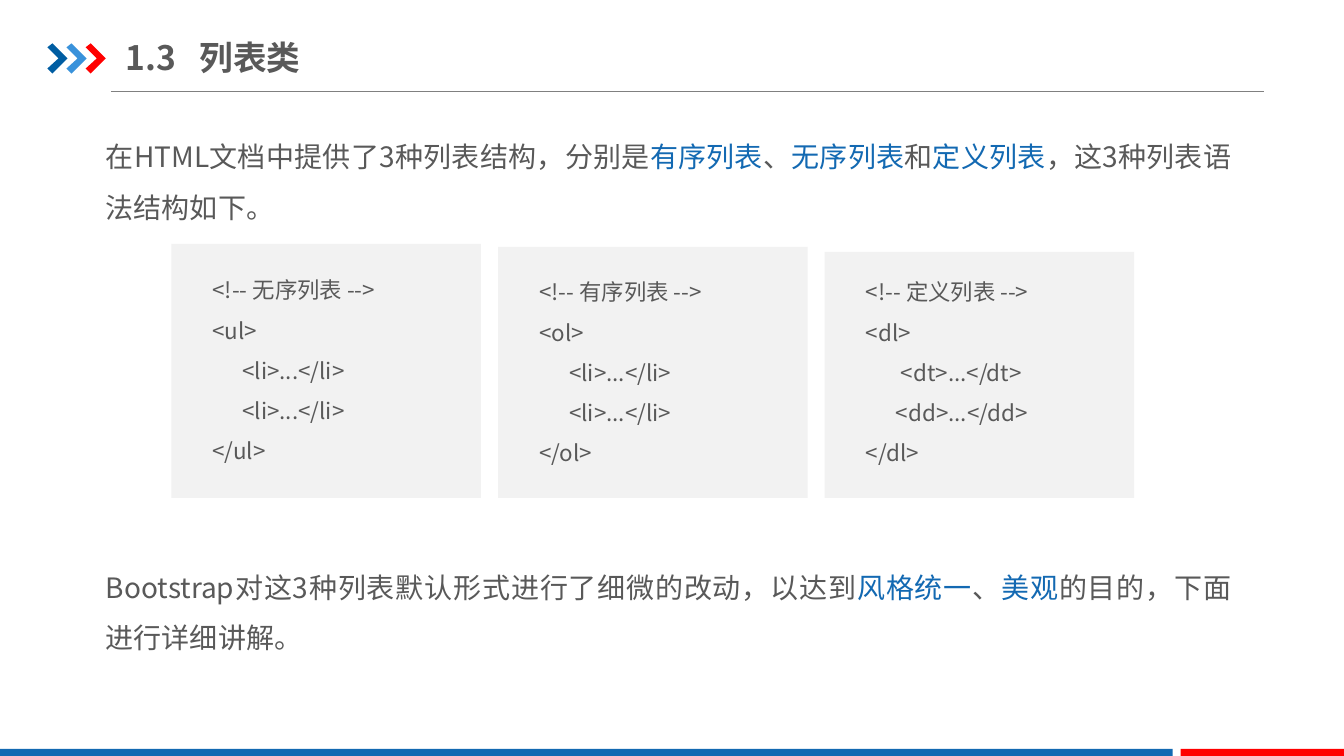
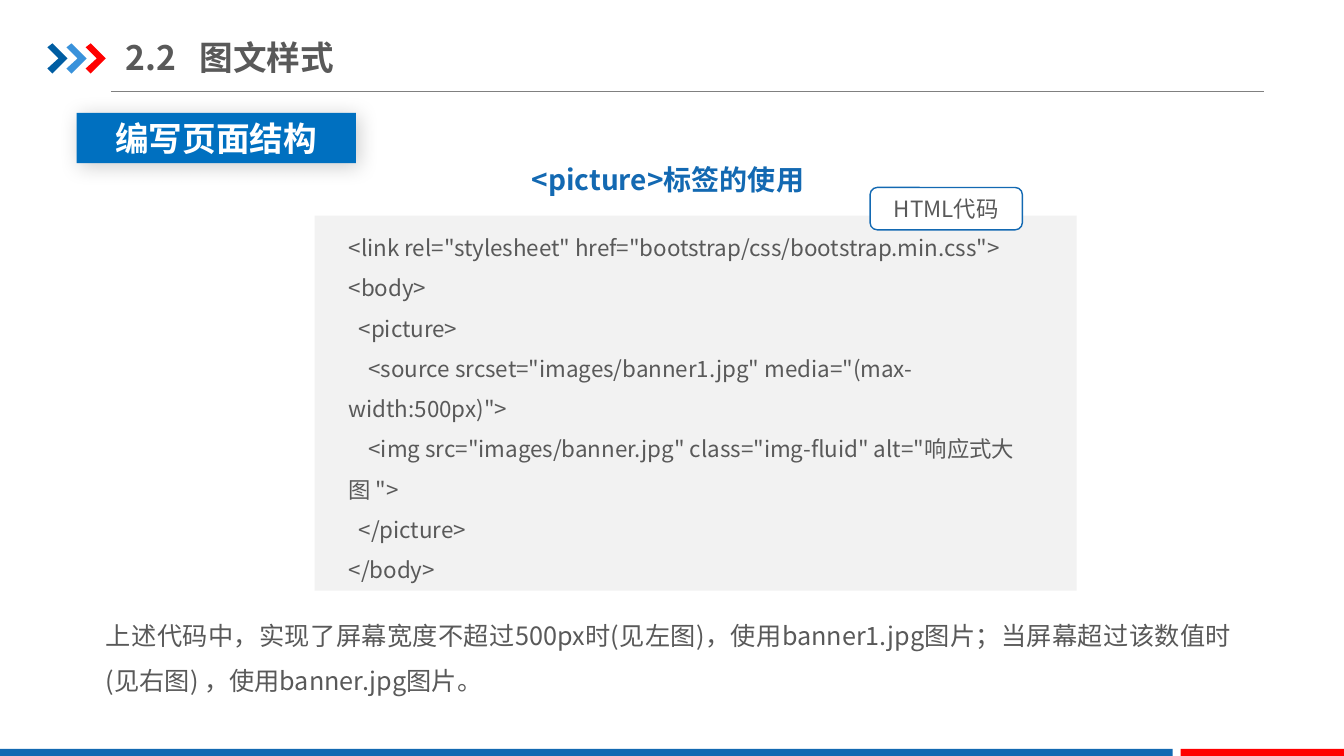
from lxml.etree import SubElement
from pptx import Presentation
from pptx.dml.color import RGBColor
from pptx.enum.shapes import MSO_CONNECTOR as CONNECTOR, MSO_SHAPE as SHAPE
from pptx.enum.text import MSO_ANCHOR as ANCHOR, PP_ALIGN as ALIGN
from pptx.oxml.ns import qn
from pptx.util import Pt

PX = 9144
WIDTH, HEIGHT = 1333, 750
BODY_FONT = "Noto Sans CJK SC"
GREY, BLUE, RED, WHITE = "595959", "1369B2", "FF0000", "FFFFFF"
PANEL, RULE, BADGE = "F2F2F2", "808080", "0070C0"
CHEVRON_COLOURS = ("005DA2", "3992DB", RED)
CHEVRON_OUTLINE = ((0, 47), (5, 43), (20, 58), (5, 73), (0, 68), (11, 58))


def emu(*lengths):
    """Turn px lengths into EMU."""
    return [length * PX for length in lengths]


def paint(colour_format, colour):
    """Apply a hex colour to a colour format."""
    colour_format.rgb = RGBColor.from_string(colour)


def fill_plain(shape, fill, outline=None):
    """Give a shape a solid fill, an optional outline and no shadow."""
    shape.shadow.inherit = False
    shape.fill.solid()
    paint(shape.fill.fore_color, fill)
    if outline:
        paint(shape.line.color, outline)
        shape.line.width = Pt(1)
    else:
        shape.line.fill.background()
    return shape


def add_block(slide, box, fill, outline=None, kind=SHAPE.RECTANGLE):
    """Add a filled preset shape."""
    return fill_plain(slide.shapes.add_shape(kind, *emu(*box)), fill, outline)


def set_frame(frame, insets, anchor):
    """Set wrapping, insets and anchor of a text frame."""
    frame.word_wrap = True
    side, end = emu(*insets)
    frame.margin_left = frame.margin_right = side
    frame.margin_top = frame.margin_bottom = end
    frame.vertical_anchor = anchor


def add_run(paragraph, text, size, colour, bold=False, font=BODY_FONT):
    """Add one formatted run."""
    run = paragraph.add_run()
    run.text = text
    run.font.size, run.font.bold, run.font.name = Pt(size), bold, font
    paint(run.font.color, colour)
    SubElement(run.font._element, qn("a:ea")).set("typeface", BODY_FONT)


def add_text(slide, box, insets=(10, 5), anchor=ANCHOR.TOP):
    """Add a wrapping text box and return its frame."""
    frame = slide.shapes.add_textbox(*emu(*box)).text_frame
    set_frame(frame, insets, anchor)
    return frame


def add_label(shape, text, size, colour, bold=False, font=BODY_FONT):
    """Centre one line of text in a shape."""
    set_frame(shape.text_frame, (10, 5), ANCHOR.MIDDLE)
    label = shape.text_frame.paragraphs[0]
    label.alignment = ALIGN.CENTER
    add_run(label, text, size, colour, bold, font)


def add_prose(slide, box, size, *parts):
    """Add a justified paragraph in which every second part is blue."""
    prose = add_text(slide, box, insets=(13, 7)).paragraphs[0]
    prose.alignment, prose.line_spacing = ALIGN.JUSTIFY, 1.5
    for index, part in enumerate(parts):
        add_run(prose, part, size, BLUE if index % 2 else GREY)


def add_code(slide, box, lines):
    """Add code, one paragraph a line."""
    frame = add_text(slide, box)
    for index, line in enumerate(lines):
        paragraph = frame.add_paragraph() if index else frame.paragraphs[0]
        paragraph.line_spacing = 1.5
        add_run(paragraph, line, 16, GREY)


def add_heading(slide, number, name):
    """Add the section number and name."""
    heading = add_text(slide, (125, 29, 426, 55), (0, 7), ANCHOR.MIDDLE).paragraphs[0]
    tabs = SubElement(heading._p.get_or_add_pPr(), qn("a:tabLst"))
    SubElement(tabs, qn("a:tab"), pos=str(73 * PX), algn="l")
    add_run(heading, f"{number}\t{name}", 24, GREY, bold=True)


def add_soft_shadow(shape):
    """Add a faint diagonal shadow."""
    effects = shape._element.spPr.find(qn("a:effectLst"))
    shadow = SubElement(effects, qn("a:outerShdw"), blurRad=str(Pt(15)),
                        dist=str(Pt(3)), dir="2700000", algn="tl", rotWithShape="0")
    colour = SubElement(shadow, qn("a:srgbClr"), val="000000")
    SubElement(colour, qn("a:alpha"), val="20000")


def add_page(deck, number, name):
    """Add a slide with its chevrons, rule, heading and footer bands."""
    slide = deck.slides.add_slide(deck.slide_layouts[6])
    rule = slide.shapes.add_connector(CONNECTOR.STRAIGHT, *emu(110, 91, 1254, 91))
    paint(rule.line.color, RULE)
    rule.line.width = Pt(0.75)
    SubElement(rule._element.spPr, qn("a:effectLst"))
    chevrons = slide.shapes.add_group_shape().shapes
    for index, colour in enumerate(CHEVRON_COLOURS):
        points = [(47 + 19 * index + x, y) for x, y in CHEVRON_OUTLINE]
        builder = chevrons.build_freeform(*points[0], scale=PX)
        builder.add_line_segments(points[1:], close=True)
        fill_plain(builder.convert_to_shape(), colour)
    add_block(slide, (0, 743, 1163, 7), BLUE)
    add_block(slide, (1171, 743, WIDTH - 1171, 7), RED)
    add_heading(slide, number, name)
    return slide


def build_lists(deck):
    """Build the slide on the three list structures."""
    slide = add_page(deck, "1.3", "列表类")
    add_prose(slide, (92, 115, 1142, 108), 20, "在HTML文档中提供了3种列表结构，分别是", "有序列表",
              "、", "无序列表", "和", "定义列表", "，这3种列表语法结构如下。")
    items = ["      <li>...</li>"] * 2
    terms = ["       <dt>...</dt>", "      <dd>...</dd>"]
    structures = (
        ("无序列表", "ul", items, 242, 256),
        ("有序列表", "ol", items, 245, 258),
        ("定义列表", "dl", terms, 250, 258),
    )
    for index, (name, tag, body, top, code_top) in enumerate(structures):
        left = 170 + 324 * index
        add_block(slide, (left, top, 307, 494 - top), PANEL)
        code = [f"<!-- {name} -->", f"<{tag}>", *body, f"</{tag}>"]
        add_code(slide, (left + 31, code_top, 252, 212), code)
    add_prose(slide, (92, 542, 1142, 108), 20, "Bootstrap对这3种列表默认形式进行了细微的改动，以达到",
              "风格统一", "、", "美观", "的目的，下面进行详细讲解。")


def build_picture_tag(deck):
    """Build the slide on the picture tag."""
    slide = add_page(deck, "2.2", "图文样式")
    add_block(slide, (312, 214, 756, 372), PANEL)
    add_code(slide, (336, 214, 713, 374), (
        '<link rel="stylesheet" href="bootstrap/css/bootstrap.min.css">',
        "<body>",
        "  <picture>",
        '    <source srcset="images/banner1.jpg" media="(max-width:500px)">',
        '    <img src="images/banner.jpg" class="img-fluid" alt="响应式大图 ">',
        "  </picture>",
        "</body>",
    ))
    language = add_block(slide, (863, 186, 151, 42), WHITE, BLUE, SHAPE.ROUNDED_RECTANGLE)
    add_label(language, "HTML代码", 16, GREY)
    topic = add_text(slide, (374, 140, 577, 55)).paragraphs[0]
    topic.alignment, topic.line_spacing = ALIGN.CENTER, 1.5
    add_run(topic, "<picture>标签的使用", 20, BLUE, bold=True)
    add_prose(slide, (92, 593, 1142, 99), 18,
              "上述代码中，实现了屏幕宽度不超过500px时(见左图)，使用banner1.jpg图片；"
              "当屏幕超过该数值时(见右图) ，使用banner.jpg图片。")
    step = add_block(slide, (76, 112, 277, 50), BADGE)
    add_soft_shadow(step)
    add_label(step, "编写页面结构", 24, WHITE, bold=True, font="Arial")


def main():
    """Build and save the deck."""
    deck = Presentation()
    deck.slide_width, deck.slide_height = emu(WIDTH, HEIGHT)
    build_lists(deck)
    build_picture_tag(deck)
    deck.save("out.pptx")


if __name__ == "__main__":
    main()
